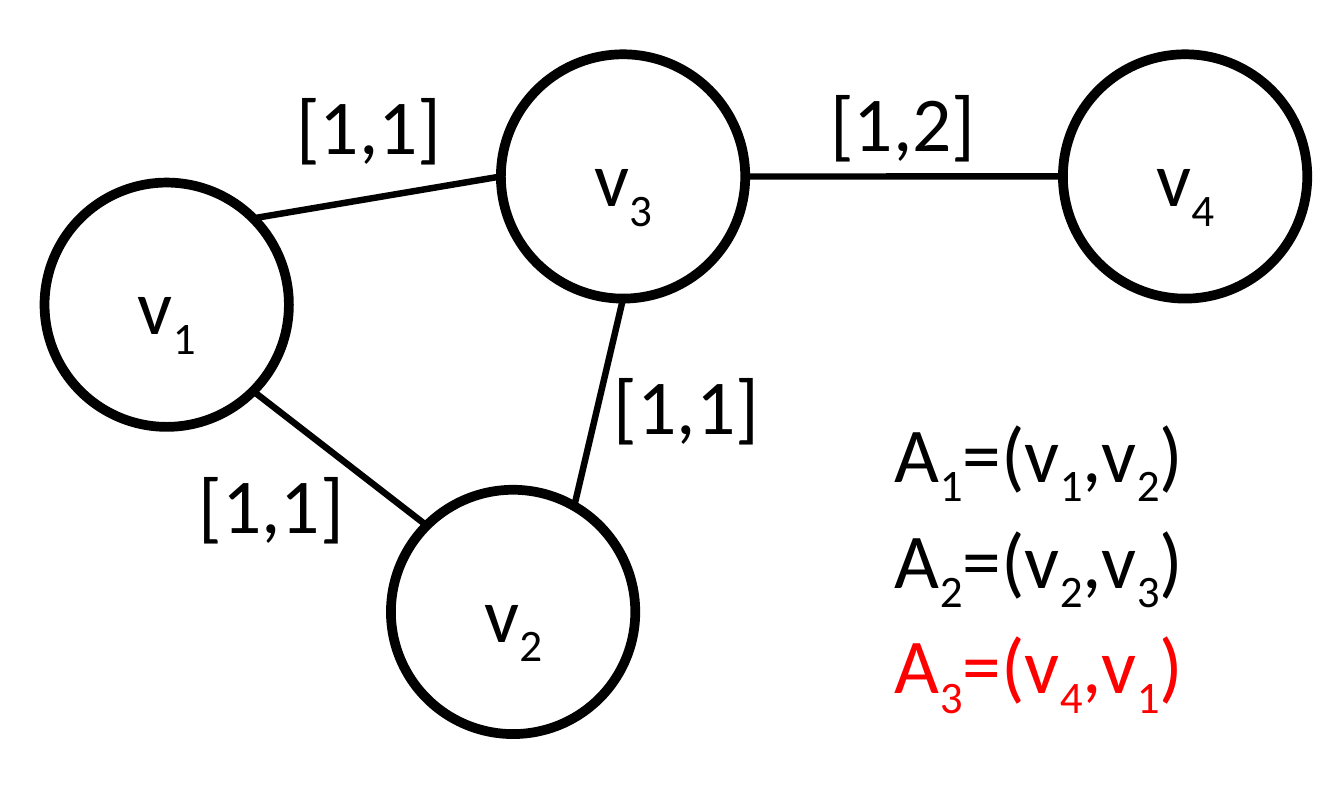
from math import cos, radians, sin

from lxml import etree
from pptx import Presentation
from pptx.dml.color import RGBColor
from pptx.enum import shapes, text
from pptx.oxml import ns
from pptx.util import Cm, Pt

BLACK = RGBColor(0, 0, 0)
WHITE = RGBColor(255, 255, 255)
RED = RGBColor(255, 0, 0)

DIAMETER = 4
NODES = {
    "1": (2.73, 4.99),
    "4": (19.4, 2.89),
    "2": (8.4, 10.02),
    "3": (10.2, 2.89),
}
EDGES = [
    ("3", 180, "1", 45, "[1,1]", (4.6, 1.14)),
    ("2", 135, "1", -45, "[1,1]", (3, 7.34)),
    ("3", -90, "2", 60, "[1,1]", (9.8, 5.72)),
    ("4", 180, "3", 0, "[1,2]", (13.34, 1.09)),
]
AGENTS = [
    ("1", "1", "2", BLACK),
    ("2", "2", "3", BLACK),
    ("3", "4", "1", RED),
]


def add_runs(p, parts, color=BLACK):
    for i, part in enumerate(parts):
        r = p.add_run()
        r.text = part
        r.font.name = "Calibri"
        r.font.size = Pt(36)
        r.font.color.rgb = color
        if i % 2:
            r.font._element.set("baseline", "-25000")


def add_text(s, left, top, width, height, wrap=False):
    sp = s.shapes.add_textbox(Cm(left), Cm(top), Cm(width), Cm(height))
    tf = sp.text_frame
    tf.word_wrap = wrap
    tf.auto_size = text.MSO_AUTO_SIZE.SHAPE_TO_FIT_TEXT
    return tf


def add_node(s, name, x, y):
    half = DIAMETER / 2
    sp = s.shapes.add_shape(shapes.MSO_SHAPE.OVAL, Cm(x - half), Cm(y - half),
                            Cm(DIAMETER), Cm(DIAMETER))
    sp.shadow.inherit = False
    sp.fill.solid()
    sp.fill.fore_color.rgb = WHITE
    sp.line.color.rgb = BLACK
    sp.line.width = Pt(4.5)
    width, height = 1.52, 1.8
    p = add_text(s, x - width / 2, y - height / 2, width, height).paragraphs[0]
    p.alignment = text.PP_ALIGN.CENTER
    add_runs(p, ["v", name])


def rim_point(node, angle):
    x, y = NODES[node]
    a = radians(angle)
    return Cm(x + DIAMETER / 2 * cos(a)), Cm(y - DIAMETER / 2 * sin(a))


def add_edge(s, start, start_angle, end, end_angle, label, place):
    line = s.shapes.add_connector(shapes.MSO_CONNECTOR.STRAIGHT,
                                  *rim_point(start, start_angle),
                                  *rim_point(end, end_angle))
    line.line.color.rgb = BLACK
    line.line.width = Pt(3)
    etree.SubElement(line._element.spPr, ns.qn("a:effectLst"))
    add_runs(add_text(s, *place, 2.92, 1.8).paragraphs[0], [label])


def add_agents(s):
    tf = add_text(s, 14.4, 6.5, 6.8, 5.9, wrap=True)
    for i, (agent, start, goal, color) in enumerate(AGENTS):
        p = tf.add_paragraph() if i else tf.paragraphs[0]
        add_runs(p, ["A", agent, "=(v", start, ",v", goal, ")"], color)


def main():
    prs = Presentation()
    prs.slide_width, prs.slide_height = Cm(22), Cm(13)
    s = prs.slides.add_slide(prs.slide_layouts[6])
    for name, (x, y) in NODES.items():
        add_node(s, name, x, y)
    for edge in EDGES:
        add_edge(s, *edge)
    add_agents(s)
    prs.save("out.pptx")


if __name__ == "__main__":
    main()
